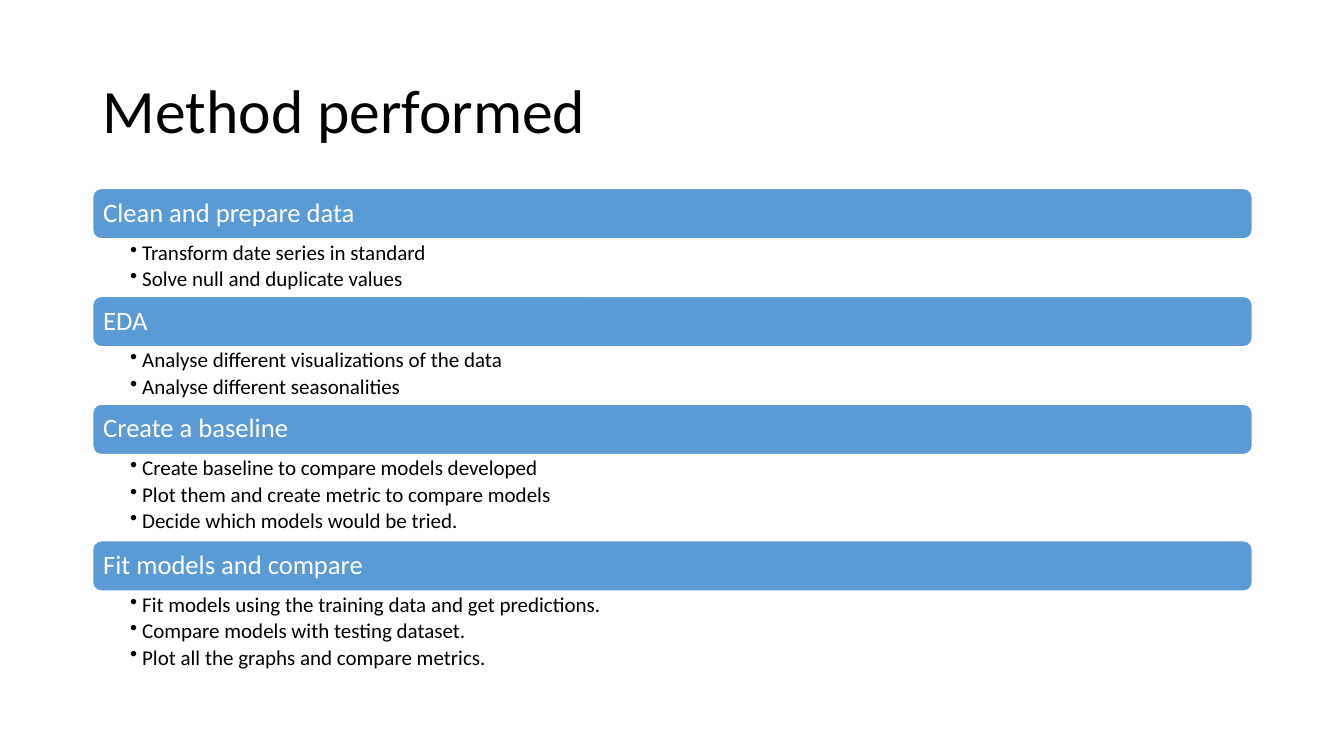
from lxml.etree import SubElement
from pptx import Presentation
from pptx.dml.color import RGBColor
from pptx.enum.shapes import MSO_SHAPE
from pptx.enum.text import MSO_ANCHOR, PP_ALIGN
from pptx.oxml.ns import qn
from pptx.util import Inches, Pt

LEFT, WIDTH = 0.92, 11.5
STEPS_TOP = 1.87
BAR_HEIGHT = 0.5
BULLET_HEIGHT = 0.285
BULLET_INDENT = 0.12

STEPS = [
    ("Clean and prepare data", [
        "Transform date series in standard",
        "Solve null and duplicate values",
    ]),
    ("EDA", [
        "Analyse different visualizations of the data",
        "Analyse different seasonalities",
    ]),
    ("Create a baseline", [
        "Create baseline to compare models developed",
        "Plot them and create metric to compare models",
        "Decide which models would be tried.",
    ]),
    ("Fit models and compare", [
        "Fit models using the training data and get predictions.",
        "Compare models with testing dataset.",
        "Plot all the graphs and compare metrics.",
    ]),
]


def color(hex_code):
    return RGBColor.from_string(hex_code)


def set_frame(frame, insets, anchor):
    """Insets run left, top, right, bottom, in inches."""
    frame.word_wrap = True
    frame.vertical_anchor = anchor
    (frame.margin_left, frame.margin_top,
     frame.margin_right, frame.margin_bottom) = map(Inches, insets)


def write(paragraph, text, size, hex_code):
    paragraph.text = text
    paragraph.alignment = PP_ALIGN.LEFT
    paragraph.line_spacing = 0.9
    paragraph.font.name = "Calibri"
    paragraph.font.size = Pt(size)
    paragraph.font.color.rgb = color(hex_code)


def add_bullet(paragraph):
    properties = paragraph._p.get_or_add_pPr()
    properties.set("marL", str(Inches(BULLET_INDENT)))
    properties.set("indent", str(-Inches(BULLET_INDENT)))
    SubElement(properties, qn("a:buChar"), char="•")


def add_title(slide, left, top, width, height):
    title = slide.shapes.add_textbox(*map(Inches, (left, top, width, height)))
    set_frame(title.text_frame, (0.1, 0.05, 0.1, 0.05), MSO_ANCHOR.MIDDLE)
    write(title.text_frame.paragraphs[0], "Method performed", 44, "000000")


def add_bar(slide, heading, left, top, width, height):
    bar = slide.shapes.add_shape(
        MSO_SHAPE.ROUNDED_RECTANGLE, *map(Inches, (left, top, width, height)))
    bar.shadow.inherit = False
    bar.fill.solid()
    bar.fill.fore_color.rgb = color("5B9BD5")
    bar.line.color.rgb = color("FFFFFF")
    bar.line.width = Pt(1)
    set_frame(bar.text_frame, (0.08,) * 4, MSO_ANCHOR.MIDDLE)
    write(bar.text_frame.paragraphs[0], heading, 19, "FFFFFF")


def add_details(slide, details, left, top, width, height):
    box = slide.shapes.add_textbox(*map(Inches, (left, top, width, height)))
    frame = box.text_frame
    set_frame(frame, (0.37, 0.03, 0.15, 0.03), MSO_ANCHOR.TOP)
    for index, detail in enumerate(details):
        paragraph = frame.add_paragraph() if index else frame.paragraphs[0]
        write(paragraph, detail, 15, "000000")
        paragraph.space_after = Pt(2.6)
        add_bullet(paragraph)


def add_steps(slide, left, top, width):
    """Stack each heading bar above its details, without gaps."""
    for heading, details in STEPS:
        add_bar(slide, heading, left, top, width, BAR_HEIGHT)
        top += BAR_HEIGHT
        details_height = BULLET_HEIGHT * len(details)
        add_details(slide, details, left, top, width, details_height)
        top += details_height


def main():
    deck = Presentation()
    deck.slide_width, deck.slide_height = Inches(13.33), Inches(7.5)
    slide = deck.slides.add_slide(deck.slide_layouts[6])
    add_title(slide, LEFT, 0.4, WIDTH, 1.45)
    add_steps(slide, LEFT, STEPS_TOP, WIDTH)
    deck.save("out.pptx")


if __name__ == "__main__":
    main()
